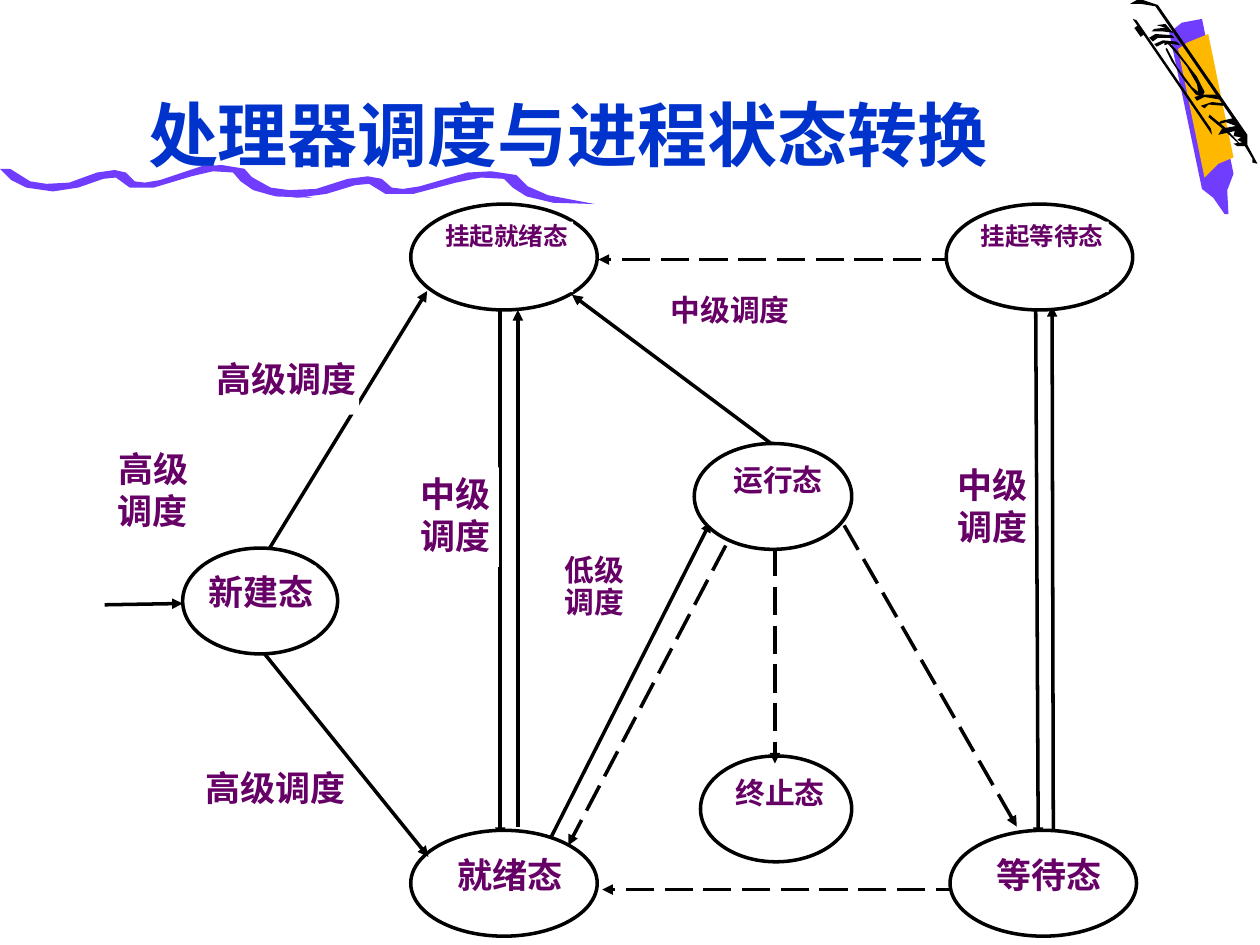
from lxml import etree
from pptx import Presentation
from pptx.dml.color import RGBColor
from pptx.enum.dml import MSO_LINE
from pptx.enum.shapes import MSO_CONNECTOR, MSO_SHAPE
from pptx.enum.text import MSO_ANCHOR, PP_ALIGN
from pptx.oxml.ns import qn
from pptx.util import Pt

PX = 9144  # EMU per px, 100 px to the inch
OVAL, RECT = MSO_SHAPE.OVAL, MSO_SHAPE.RECTANGLE
STRAIGHT = MSO_CONNECTOR.STRAIGHT
LONG_DASH = MSO_LINE.LONG_DASH
CENTER = PP_ALIGN.CENTER
TOP, BOTTOM = MSO_ANCHOR.TOP, MSO_ANCHOR.BOTTOM

WHITE = RGBColor(0xFF, 0xFF, 0xFF)
BLACK = RGBColor(0x00, 0x00, 0x00)
BLUE = RGBColor(0x00, 0x33, 0xCC)
PLUM = RGBColor(0x66, 0x00, 0x66)
VIOLET = RGBColor(0x70, 0x3D, 0xFF)
AMBER = RGBColor(0xFF, 0xB8, 0x00)

CJK_FONT = "Noto Sans CJK JP"
TITLE_FONT = "Comic Neue"
LINE_SPACING = {20: 1.0, 17: 0.9, 14: 0.8}

# Pencil outlines: colour, points
PENCIL = [
    (VIOLET, [(28, 26), (54, 150), (63, 157), (72, 170), (75, 170), (74, 151),
              (79, 138), (54, 15), (38, 18)]),
    (AMBER, [(56, 141), (67, 130), (79, 125), (59, 27), (42, 34), (35, 39)]),
    (BLACK, [(59, 93), (70, 102), (84, 115), (84, 114), (72, 101), (60, 91)]),
    (BLACK, [(14, 25), (23, 25), (31, 26), (25, 19), (18, 20), (25, 22), (16, 23)]),
    (BLACK, [(25, 39), (30, 49), (40, 64), (49, 75), (54, 77), (56, 73), (50, 61),
             (40, 48), (33, 39), (27, 33), (24, 33), (24, 36), (27, 35), (34, 43),
             (42, 53), (50, 67), (51, 73), (46, 69), (34, 53), (26, 38)]),
    (BLACK, [(-1, 15), (62, 107), (61, 102), (2, 16)]),
    (BLACK, [(67, 107), (70, 102), (81, 100), (73, 97), (66, 99), (69, 96), (78, 94),
             (17, 5), (5, 3), (-3, 3), (4, -1), (19, 4), (90, 107), (90, 115),
             (98, 130), (94, 129), (94, 126), (88, 116), (82, 116), (79, 114),
             (86, 113), (82, 111), (85, 109), (79, 108), (80, 104)]),
    (BLACK, [(56, 86), (59, 83), (71, 84), (70, 82), (62, 81), (53, 84)]),
    (BLACK, [(50, 80), (56, 77), (68, 79), (65, 75), (56, 75), (48, 77)]),
    (BLACK, [(18, 37), (24, 34), (37, 36), (34, 33), (23, 32), (16, 35)]),
    (BLACK, [(15, 33), (19, 30), (32, 30), (30, 28), (17, 27), (12, 30)]),
]

WAVE_WIDTH = 248
WAVE = [(8, 3), (24, 13), (37, 15), (55, 14), (77, 6), (91, 4), (100, 6), (107, 13),
        (115, 14), (127, 12), (160, 1), (176, 0), (194, 3), (202, 12), (216, 19),
        (248, 26), (219, 25), (201, 20), (191, 13), (185, 6), (169, 5), (152, 9),
        (122, 18), (103, 18), (92, 10), (82, 11), (62, 18), (42, 21), (21, 18),
        (9, 12), (0, 3)]

# left, top, width of the oval; inset, width, size of its name; name
STATES = [
    (471, 192, 125, 29, 75, 17, "运行态"),
    (246, 499, 148, 34, 89, 20, "就绪态"),
    (476, 440, 120, 27, 72, 17, "终止态"),
    (65, 275, 123, 18, 88, 20, "新建态"),
    (246, 2, 148, 23, 106, 14, "挂起就绪态"),
    (671, 2, 148, 23, 106, 14, "挂起等待态"),
    (674, 499, 148, 34, 89, 20, "等待态"),
]
STATE_HEIGHT, NAME_TOP, NAME_HEIGHT = 84, 14, 56

# from x, y, to x, y, dashed
ARROWS_BEHIND = [
    (682, 46, 395, 46, True),
    (317, 61, 317, 505, False),
    (331, 496, 331, 86, False),
    (346, 527, 484, 254, False),
    (496, 273, 371, 511, True),
    (590, 257, 727, 496, True),
    (685, 546, 398, 546, True),
    (742, 79, 744, 505, False),
    (756, 509, 755, 83, False),
]
ARROWS_IN_FRONT = [
    (130, 359, 260, 520, False),
    (535, 275, 535, 446, True),
    (532, 192, 374, 74, False),
    (3, 320, 65, 319, False),
    (134, 275, 259, 71, False),
]

# left, top, width, height, size, text
SCHEDULING = [
    (10, 191, 63, 84, 20, "高级调度"),
    (447, 71, 105, 49, 17, "中级调度"),
    (360, 277, 63, 70, 17, "低级调度"),
    (674, 204, 67, 79, 20, "中级调度"),
    (81, 444, 115, 49, 20, "高级调度"),
    (90, 120, 115, 49, 20, "高级调度"),
    (247, 211, 69, 79, 20, "中级调度"),
]


def emu(*lengths):
    return [round(length * PX) for length in lengths]


def write(shape, text, size, color, font_name, anchor, spacing=1.0):
    frame = shape.text_frame
    frame.word_wrap = True
    frame.vertical_anchor = anchor
    paragraph = frame.paragraphs[0]
    paragraph.alignment = CENTER
    paragraph.line_spacing = spacing
    run = paragraph.add_run()
    run.text = text
    style = {"size": Pt(size), "bold": True, "name": font_name}
    for key, value in style.items():
        setattr(run.font, key, value)
    run.font.color.rgb = color
    etree.SubElement(run.font._element, qn("a:ea"), typeface=CJK_FONT)


def add_outline(slide, left, top, points, color):
    builder = slide.shapes.build_freeform(*points[0], scale=PX)
    builder.add_line_segments(points[1:], close=True)
    outline = builder.convert_to_shape(*emu(left, top))
    outline.shadow.inherit = False
    outline.fill.solid()
    outline.fill.fore_color.rgb = color
    outline.line.fill.background()


def add_line(slide, ends, width, dashed=False, arrow=True):
    connector = slide.shapes.add_connector(STRAIGHT, *emu(*ends))
    connector.line.color.rgb = BLACK
    connector.line.width = Pt(width)
    if dashed:
        connector.line.dash_style = LONG_DASH
    if arrow:
        etree.SubElement(connector.line._get_or_add_ln(), qn("a:tailEnd"), type="triangle")
    etree.SubElement(connector._element.spPr, qn("a:effectLst"))


def add_label(slide, left, top, width, height, size, text):
    label = slide.shapes.add_shape(RECT, *emu(left, top, width, height))
    label.shadow.inherit = False
    label.fill.solid()
    label.fill.fore_color.rgb = WHITE
    label.line.fill.background()
    margins = {"margin_left": 0, "margin_right": 0, "margin_top": 4, "margin_bottom": 4}
    for side, margin in margins.items():
        setattr(label.text_frame, side, margin * PX)
    write(label, text, size, PLUM, CJK_FONT, TOP, LINE_SPACING[size])


def draw_pencil(slide, left, top):
    for color, points in PENCIL:
        add_outline(slide, left, top, points, color)
    add_line(slide, (left + 2, top + 21, left + 7, top + 28), 3, arrow=False)


def draw_wave(slide, left, top, width):
    stretch = width / WAVE_WIDTH
    add_outline(slide, left, top, [(x * stretch, y) for x, y in WAVE], VIOLET)


def draw_title(slide, left, top, width, height):
    title = slide.shapes.add_textbox(*emu(left, top, width, height))
    write(title, "处理器调度与进程状态转换", 40, BLUE, TITLE_FONT, BOTTOM)


def draw_arrows(slide, left, top, arrows):
    for x1, y1, x2, y2, dashed in arrows:
        add_line(slide, (left + x1, top + y1, left + x2, top + y2), 2, dashed)


def draw_state(slide, left, top, width, inset, name_width, size, name):
    oval = slide.shapes.add_shape(OVAL, *emu(left, top, width, STATE_HEIGHT))
    oval.shadow.inherit = False
    oval.fill.solid()
    oval.fill.fore_color.rgb = WHITE
    oval.line.color.rgb = BLACK
    oval.line.width = Pt(2)
    add_label(slide, left + inset, top + NAME_TOP, name_width, NAME_HEIGHT, size, name)


def draw_transitions(slide, left, top):
    draw_arrows(slide, left, top, ARROWS_BEHIND)
    for x, y, *state in STATES:
        draw_state(slide, left + x, top + y, *state)
    draw_arrows(slide, left, top, ARROWS_IN_FRONT)
    for x, y, *label in SCHEDULING:
        add_label(slide, left + x, top + y, *label)


def main():
    deck = Presentation()
    deck.slide_width, deck.slide_height = emu(1000, 750)
    slide = deck.slides.add_slide(deck.slide_layouts[6])
    draw_pencil(slide, 900, 0)
    draw_wave(slide, 0, 131, 248)
    draw_wave(slide, 188, 136, 284)
    draw_title(slide, 75, 52, 751, 92)
    draw_transitions(slide, 80, 160)
    deck.save("out.pptx")


if __name__ == "__main__":
    main()
